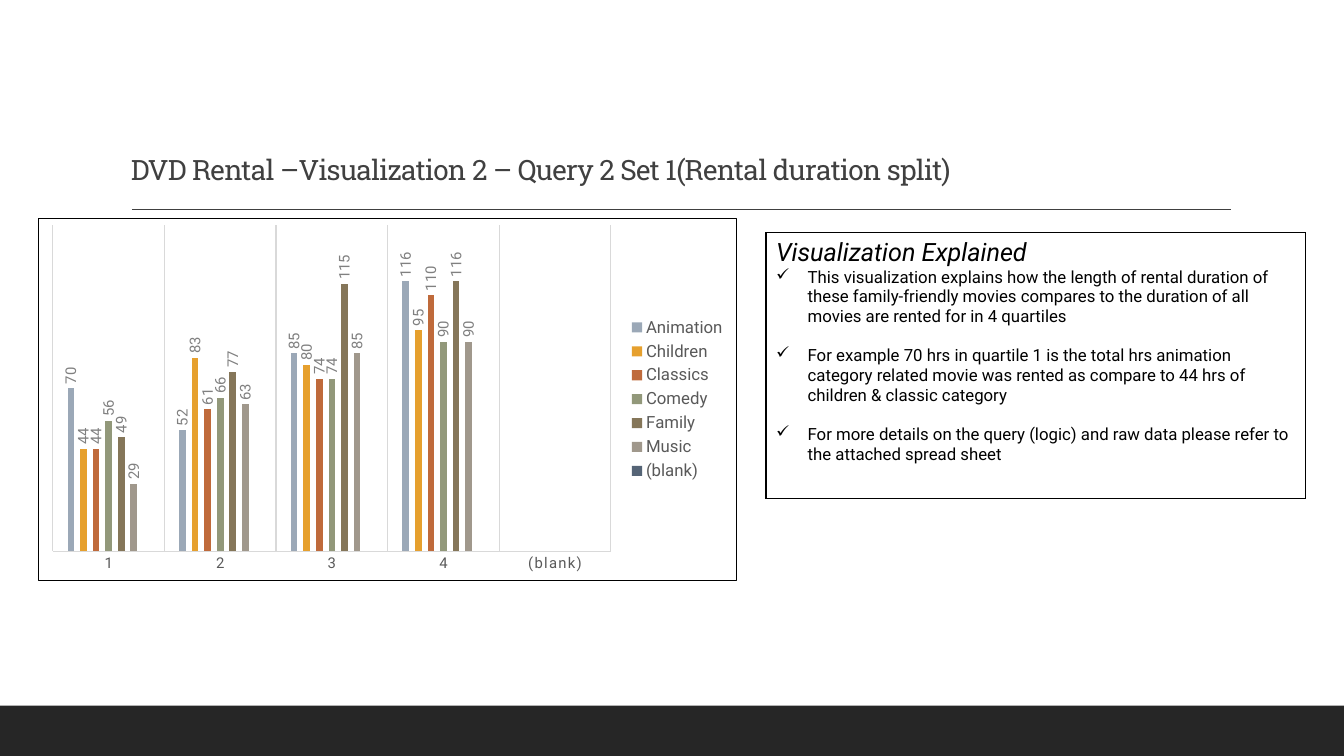
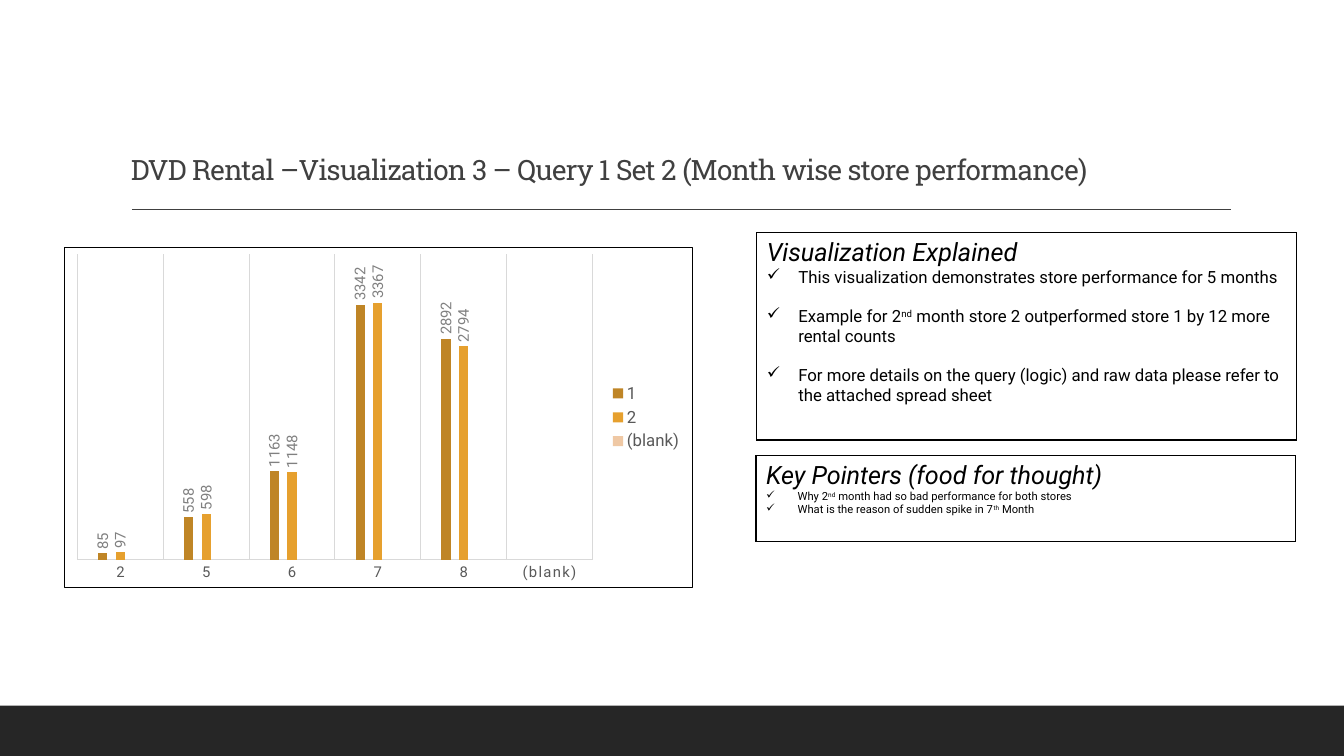
from lxml import etree
from pptx import Presentation
from pptx import util as u
from pptx.chart.data import CategoryChartData
from pptx.dml.color import RGBColor
from pptx.enum import chart as ch, shapes, text
from pptx.oxml import parse_xml
from pptx.oxml.ns import nsdecls, qn

Pt = u.Pt
BODY, HEAD = "Roboto", "Roboto Slab"
BLACK, DARK, BAND = "000000", "404040", "262626"
AXIS_TEXT, LABEL_TEXT, GRID = "595959", "808080", "D9D9D9"
INDENT = 22.5

# Content: superscripts stand between ^ marks; boxes are left, top, width, height
MORE = ("For more details on the query (logic) and raw data please refer to "
        "the attached spread sheet")
SLIDES = [
    {
        "title": "DVD Rental –Visualization 2 – Query 2 Set 1(Rental duration split)",
        "chart": {
            "box": (27.4, 155.5, 499, 259.2), "top_value": 140, "plot_width": 0.8,
            "categories": ["1", "2", "3", "4", "(blank)"],
            "series": [
                ("Animation", "9BA8B7", [70, 52, 85, 116, None]),
                ("Children", "E6A02E", [44, 83, 80, 95, None]),
                ("Classics", "BF6A3B", [44, 61, 74, 110, None]),
                ("Comedy", "92987A", [56, 66, 74, 90, None]),
                ("Family", "857659", [49, 77, 115, 116, None]),
                ("Music", "A0988C", [29, 63, 85, 90, None]),
                ("(blank)", "556476", [None] * 5),
            ],
        },
        "notes": [
            {"box": (547.2, 166.3, 385.5, 190), "size": 12, "gap": 14,
             "heading": "Visualization Explained",
             "points": [
                 "This visualization explains how the length of rental duration of these "
                 "family-friendly movies compares to the duration of all movies are rented "
                 "for in 4 quartiles",
                 "For example 70 hrs in quartile 1 is the total hrs animation category "
                 "related movie was rented as compare to 44 hrs of children & classic category",
                 MORE]},
        ],
    },
    {
        "title": "DVD Rental –Visualization 3 – Query 1 Set 2 (Month wise store performance)",
        "chart": {
            "box": (46, 176.4, 449.3, 243.4), "top_value": 4000, "plot_width": 0.82,
            "categories": ["2", "5", "6", "7", "8", "(blank)"],
            "series": [
                ("1", "BF8526", [85, 558, 1163, 3342, 2892, None]),
                ("2", "E6A02E", [97, 598, 1148, 3367, 2794, None]),
                ("(blank)", "EFC8A4", [None] * 6),
            ],
        },
        "notes": [
            {"box": (540.5, 166.3, 385.5, 148), "size": 12, "gap": 14,
             "heading": "Visualization Explained",
             "points": [
                 "This visualization demonstrates store performance for 5 months",
                 "Example for 2^nd^ month store 2 outperformed store 1 by 12 more rental counts",
                 MORE]},
            {"box": (540, 325.6, 385.5, 61), "size": 8, "gap": 0,
             "heading": "Key Pointers (food for thought)",
             "points": [
                 "Why 2^nd^ month had so bad performance for both stores",
                 "What is the reason of sudden spike in 7^th^ Month"]},
        ],
    },
]


def rgb(value):
    return RGBColor.from_string(value)


def points(box):
    return [Pt(length) for length in box]


def set_font(font, size, color, name=BODY):
    font.size, font.name, font.color.rgb = Pt(size), name, rgb(color)


def write(para, words, size, color=BLACK, name=BODY, italic=False, spacing=None):
    """Fill a paragraph; parts between ^ marks become superscript."""
    for index, part in enumerate(words.split("^")):
        span = para.add_run()
        span.text = part
        set_font(span.font, size, color, name)
        span.font.italic = italic
        if index % 2:
            span.font._element.set("baseline", "30000")
        if spacing:
            span.font._element.set("spc", str(spacing))


def add_frame(page, title):
    # Bottom band
    band = page.shapes.add_shape(shapes.MSO_SHAPE.RECTANGLE, *points((0, 504, 960, 36)))
    band.shadow.inherit = False
    band.fill.solid()
    band.fill.fore_color.rgb = rgb(BAND)
    band.line.fill.background()
    # Rule under the title
    rule = page.shapes.add_connector(shapes.MSO_CONNECTOR.STRAIGHT,
                                     *points((94.3, 149.8, 879.1, 149.8)))
    rule.line.color.rgb = rgb(DARK)
    rule.line.width = Pt(1)
    etree.SubElement(rule._element.spPr, qn("a:effectLst"))
    # Title
    box = page.shapes.add_textbox(*points((86.4, 22.3, 792, 114.5)))
    frame = box.text_frame
    frame.word_wrap = True
    frame.vertical_anchor = text.MSO_ANCHOR.BOTTOM
    para = frame.paragraphs[0]
    para.line_spacing = 0.9
    write(para, title, 20, DARK, HEAD, spacing=-50)


def add_note(page, box, heading, points_list, size, gap):
    table = page.shapes.add_table(1, 1, *points(box)).table
    table.first_row = table.horz_banding = False
    cell = table.cell(0, 0)
    props = cell._tc.get_or_add_tcPr()
    for side in "LRTB":
        props.append(parse_xml(
            f'<a:ln{side} w="{Pt(1)}" {nsdecls("a")}><a:solidFill>'
            f'<a:srgbClr val="{BLACK}"/></a:solidFill></a:ln{side}>'))
    cell.fill.background()
    frame = cell.text_frame
    write(frame.paragraphs[0], heading, 18, italic=True)
    for index, words in enumerate(points_list):
        para = frame.add_paragraph()
        para.space_before = Pt(gap if index else 0)
        write(para, words, size)
        layout = para._p.get_or_add_pPr()
        layout.set("marL", str(Pt(INDENT)))
        layout.set("indent", str(-Pt(INDENT)))
        etree.SubElement(layout, qn("a:buChar")).set("char", "✓")


def add_column_chart(page, box, categories, series, top_value, plot_width):
    data = CategoryChartData()
    data.categories = categories
    for name, _, values in series:
        data.add_series(name, values)
    chart = page.shapes.add_chart(ch.XL_CHART_TYPE.COLUMN_CLUSTERED, *points(box), data).chart
    chart.has_title = False
    set_font(chart.font, 10, BLACK)

    # Chart border and plot position
    chart.element.find(qn("c:chart")).addnext(parse_xml(
        f'<c:spPr {nsdecls("c", "a")}><a:noFill/><a:ln w="{Pt(0.75)}"><a:solidFill>'
        f'<a:srgbClr val="{BLACK}"/></a:solidFill></a:ln></c:spPr>'))
    area = chart.element.find(".//" + qn("c:plotArea"))
    for old in area.findall(qn("c:layout")):
        area.remove(old)
    place = {"layoutTarget": "inner", "xMode": "edge", "yMode": "edge",
             "x": 0.02, "y": 0.02, "w": plot_width, "h": 0.9}
    parts = "".join(f'<c:{key} val="{value}"/>' for key, value in place.items())
    area.insert(0, parse_xml(f'<c:layout {nsdecls("c")}><c:manualLayout>{parts}'
                             '</c:manualLayout></c:layout>'))

    # Axes
    values_axis = chart.value_axis
    values_axis.minimum_scale, values_axis.maximum_scale = 0, top_value
    values_axis.has_major_gridlines = values_axis.visible = False
    axis = chart.category_axis
    axis.major_tick_mark = axis.minor_tick_mark = ch.XL_TICK_MARK.NONE
    axis.has_major_gridlines = True
    for line in (axis.format.line, axis.major_gridlines.format.line):
        line.color.rgb = rgb(GRID)
        line.width = Pt(0.75)
    set_font(axis.tick_labels.font, 10.6, AXIS_TEXT)
    axis.tick_labels.font._element.set("spc", "100")

    # Legend
    chart.has_legend = True
    chart.legend.position = ch.XL_LEGEND_POSITION.RIGHT
    chart.legend.include_in_layout = False
    set_font(chart.legend.font, 12, AXIS_TEXT)

    # Columns with upright labels
    plot = chart.plots[0]
    plot.gap_width, plot.overlap, plot.vary_by_categories = 444, -90, False
    for column, (_, color, _) in zip(plot.series, series):
        column.format.fill.solid()
        column.format.fill.fore_color.rgb = rgb(color)
        labels = column.data_labels
        labels.show_value = True
        labels.position = ch.XL_LABEL_POSITION.OUTSIDE_END
        set_font(labels.font, 10.6, LABEL_TEXT)
        turn = labels._element.find(".//" + qn("a:bodyPr"))
        turn.set("rot", "-5400000")
        turn.set("vert", "horz")


def main():
    deck = Presentation()
    deck.slide_width, deck.slide_height = Pt(960), Pt(540)
    for content in SLIDES:
        page = deck.slides.add_slide(deck.slide_layouts[6])
        add_frame(page, content["title"])
        add_column_chart(page, **content["chart"])
        for note in content["notes"]:
            add_note(page, note["box"], note["heading"], note["points"],
                     note["size"], note["gap"])
    deck.save("out.pptx")


if __name__ == "__main__":
    main()
